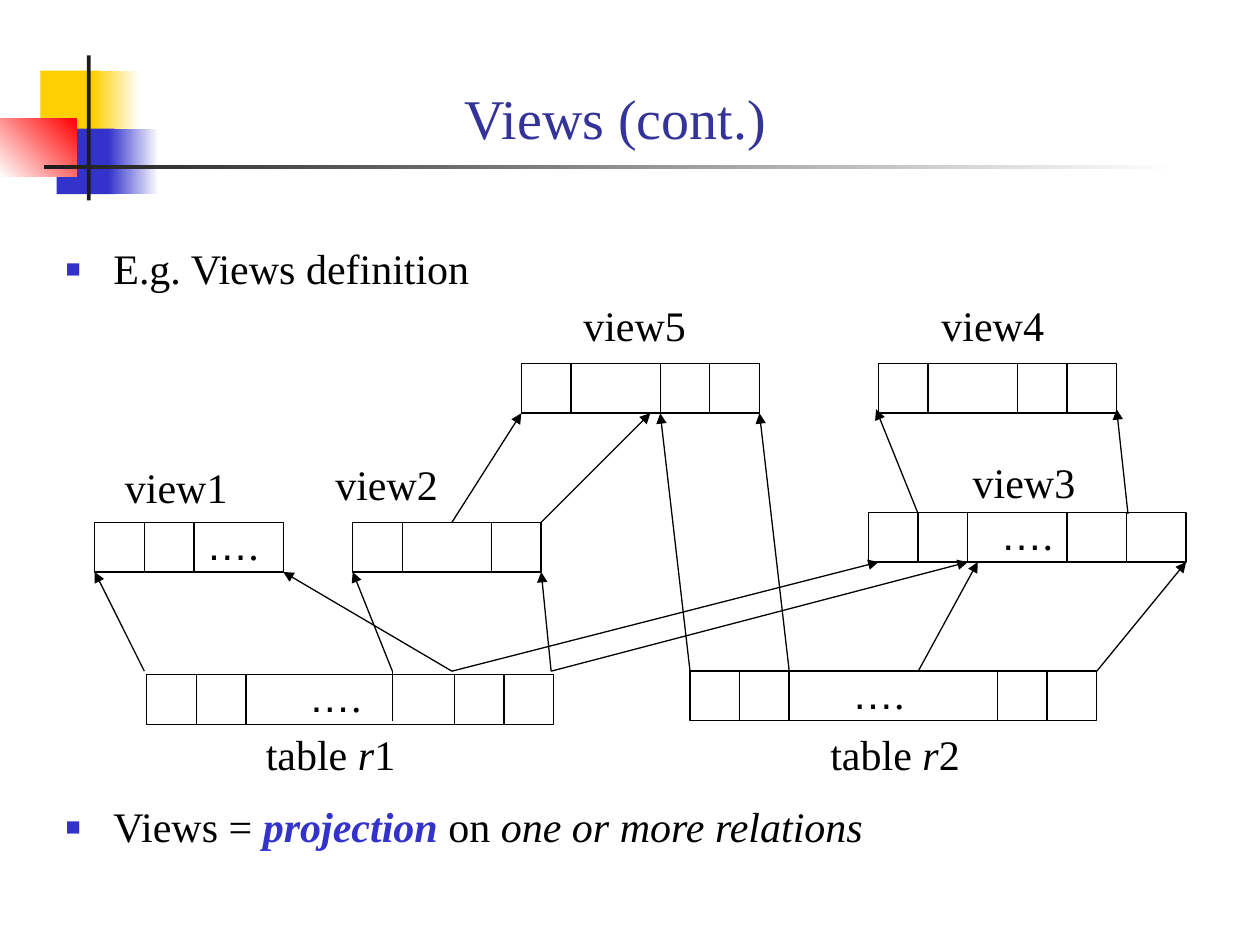
from lxml.etree import SubElement
from pptx import Presentation
from pptx.dml.color import RGBColor
from pptx.enum.shapes import MSO_CONNECTOR as Connector, MSO_SHAPE as Shape
from pptx.enum.text import MSO_ANCHOR as Anchor, MSO_AUTO_SIZE as AutoSize, PP_ALIGN as Align
from pptx.oxml.ns import qn
from pptx.util import Cm, Inches, Pt

SERIF = "Times New Roman"
BLACK, INK, WHITE = "000000", "1C1C1C", "FFFFFF"
BLUE, YELLOW, RED, TITLE_BLUE = "3333CC", "FFCF01", "FF0000", "333399"
GRID_LEFT, GRID_TOP = 1.91, 7.33
NARROW, MEDIUM, BROAD = 1, 1.8, 4.2

DECORATION = [
    (0.32, 0.56, 0.48, 0.52, [YELLOW], 0),
    (0.74, 0.56, 0.36, 0.52, [YELLOW, WHITE], 0),
    (0.45, 1.02, 0.46, 0.52, [BLUE], 0),
    (0.86, 1.02, 0.40, 0.52, [BLUE, WHITE], 0),
    (0, 0.94, 0.61, 0.46, [WHITE, RED], 45),
    (0.69, 0.44, 0.03, 1.15, [INK], 0),
    (0.35, 1.31, 9, 0.03, [INK, WHITE], 0),
]

BASE_TABLE = [NARROW, NARROW, BROAD, NARROW, NARROW]
UPPER_VIEW = [NARROW, MEDIUM, NARROW, NARROW]
RECORDS = [
    (1.05, 6.27, BASE_TABLE),
    (12, 6.2, BASE_TABLE),
    (0, 3.2, [NARROW, NARROW, MEDIUM]),
    (5.2, 3.2, [NARROW, MEDIUM, NARROW]),
    (15.6, 3, [NARROW, NARROW, 3.2]),
    (19.6, 3, [2.4]),
    (8.6, 1 - NARROW, UPPER_VIEW),
    (15.8, 1 - NARROW, UPPER_VIEW),
]

PROJECTIONS = [
    ((1, 6.2), (0, 4.2)),
    ((7.2, 6.2), (3.8, 4.2)),
    ((6, 6.2), (5.2, 4.2)),
    ((9.2, 6.2), (9, 4.2)),
    ((7.2, 6.2), (15.8, 4)),
    ((9.2, 6.2), (17.6, 4)),
    ((16.6, 6.2), (17.8, 4)),
    ((20.2, 6.2), (22, 4)),
    ((7.2, 3.2), (8.6, 1)),
    ((9, 3.2), (11.2, 1)),
    ((12, 6.2), (11.4, 1)),
    ((14, 6.2), (13.4, 1)),
    ((16.6, 3.03), (15.75, 0.92)),
    ((20.83, 3.03), (20.6, 0.92)),
]

VIEW_LABELS = [
    ("view1", 0.36, 1.85),
    ("view2", 4.6, 1.78),
    ("view3", 17.45, 1.75),
    ("view4", 16.82, -1.41),
    ("view5", 9.6, -1.41),
]
TABLE_LABELS = [("1", 3.2), ("2", 14.58)]
ELLIPSES = [(4.07, 6.07), (15.02, 6), (2, 3), (18.01, 2.8)]


def color(hex_code):
    return RGBColor.from_string(hex_code)


def column(position):
    return Cm(GRID_LEFT + position)


def row(position):
    return Cm(GRID_TOP + position)


def add_run(paragraph, text, size=24, face=SERIF, ink=BLACK, bold=False, italic=False):
    run = paragraph.add_run()
    run.text = text
    run.font.size = Pt(size)
    run.font.name = face
    run.font.bold = bold
    run.font.italic = italic
    run.font.color.rgb = color(ink)


def add_block(slide, left, top, width, height, tints, angle):
    block = slide.shapes.add_shape(
        Shape.RECTANGLE, Inches(left), Inches(top), Inches(width), Inches(height))
    block.shadow.inherit = False
    block.line.fill.background()
    if len(tints) == 1:
        block.fill.solid()
        block.fill.fore_color.rgb = color(tints[0])
        return
    block.fill.gradient()
    block.fill.gradient_angle = angle
    for stop, tint in zip(block.fill.gradient_stops, tints):
        stop.color.rgb = color(tint)


def add_record(slide, left, top, widths):
    for index, width in enumerate(widths):
        field = slide.shapes.add_shape(
            Shape.RECTANGLE, column(left + sum(widths[:index])), row(top), Cm(width), Cm(NARROW))
        field.shadow.inherit = False
        field.fill.background()
        field.line.color.rgb = color(BLACK)
        field.line.width = Pt(0.75)


def add_link(slide, start, end, arrow=True):
    link = slide.shapes.add_connector(
        Connector.STRAIGHT, column(start[0]), row(start[1]), column(end[0]), row(end[1]))
    link.line.color.rgb = color(BLACK)
    link.line.width = Pt(0.75)
    properties = link.element.spPr
    if arrow:
        SubElement(properties.find(qn("a:ln")), qn("a:tailEnd"), type="triangle")
    SubElement(properties, qn("a:effectLst"))


def add_label(slide, left, top, width, runs):
    label = slide.shapes.add_textbox(column(left), row(top), Cm(width), Cm(1.27))
    frame = label.text_frame
    frame.word_wrap = False
    frame.auto_size = AutoSize.SHAPE_TO_FIT_TEXT
    for text, style in runs:
        add_run(frame.paragraphs[0], text, **style)


def add_title(slide):
    title = slide.shapes.title
    title.left, title.top = Inches(1.3), 0
    title.width, title.height = Inches(7.17), Inches(1.25)
    title.text_frame.vertical_anchor = Anchor.BOTTOM
    heading = title.text_frame.paragraphs[0]
    heading.alignment = Align.CENTER
    add_run(heading, "Views (cont.)", size=32, ink=TITLE_BLUE)


def add_bullet(paragraph, runs, space_before):
    properties = paragraph._p.get_or_add_pPr()
    properties.set("marL", str(Inches(0.38)))
    properties.set("indent", str(-Inches(0.38)))
    SubElement(SubElement(properties, qn("a:buClr")), qn("a:srgbClr"), val=BLUE)
    SubElement(properties, qn("a:buSzPct"), val="60000")
    SubElement(properties, qn("a:buFont"), typeface="Arial")
    SubElement(properties, qn("a:buChar"), char="■")
    paragraph.line_spacing = 0.9
    paragraph.space_before = Pt(space_before)
    for text, style in runs:
        add_run(paragraph, text, **style)


def add_body(slide):
    body = slide.placeholders[1]
    body.left, body.top = Inches(0.42), Inches(1.92)
    body.width, body.height = Inches(9), Inches(5)
    frame = body.text_frame
    frame.auto_size = AutoSize.NONE
    add_bullet(frame.paragraphs[0], [("E.g. Views definition", {})], 0)
    add_bullet(frame.add_paragraph(), [
        ("Views = ", {}),
        ("projection ", {"ink": BLUE, "bold": True, "italic": True}),
        ("on ", {}),
        ("one or more relations", {"italic": True}),
    ], 293)


def main():
    deck = Presentation()
    deck.slide_width, deck.slide_height = Inches(10), Inches(7.5)
    slide = deck.slides.add_slide(deck.slide_layouts[1])
    for block in DECORATION:
        add_block(slide, *block)
    add_title(slide)
    add_body(slide)
    for record in RECORDS:
        add_record(slide, *record)
    add_link(slide, (6, 6.2), (6, 7.2), arrow=False)
    for start, end in PROJECTIONS:
        add_link(slide, start, end)
    for name, left, top in VIEW_LABELS:
        add_label(slide, left, top, 2.57, [(name, {})])
    for number, left in TABLE_LABELS:
        add_label(slide, left, 7.24, 3.12, [("table ", {}), ("r", {"italic": True}), (number, {})])
    for left, top in ELLIPSES:
        add_label(slide, left, top, 1.58, [("…", {"face": "Arial"}), (".", {})])
    deck.save("out.pptx")


if __name__ == "__main__":
    main()
